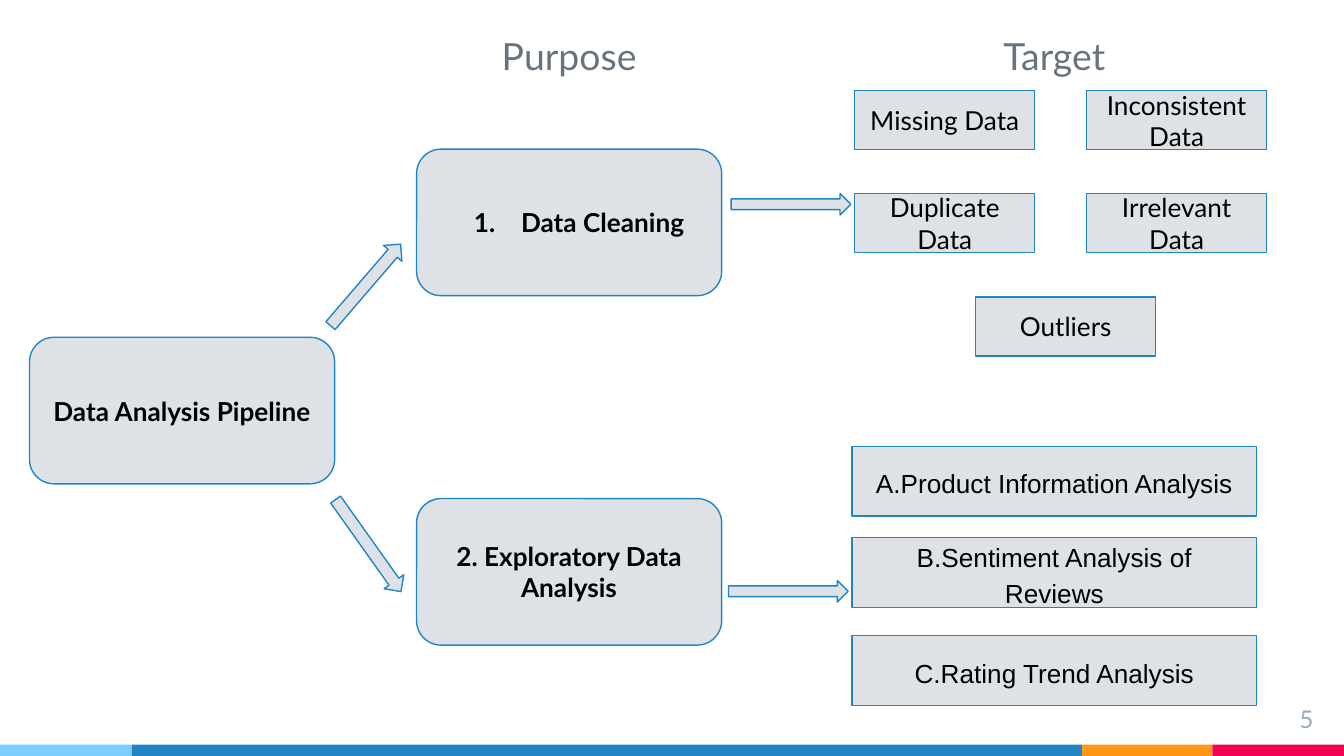
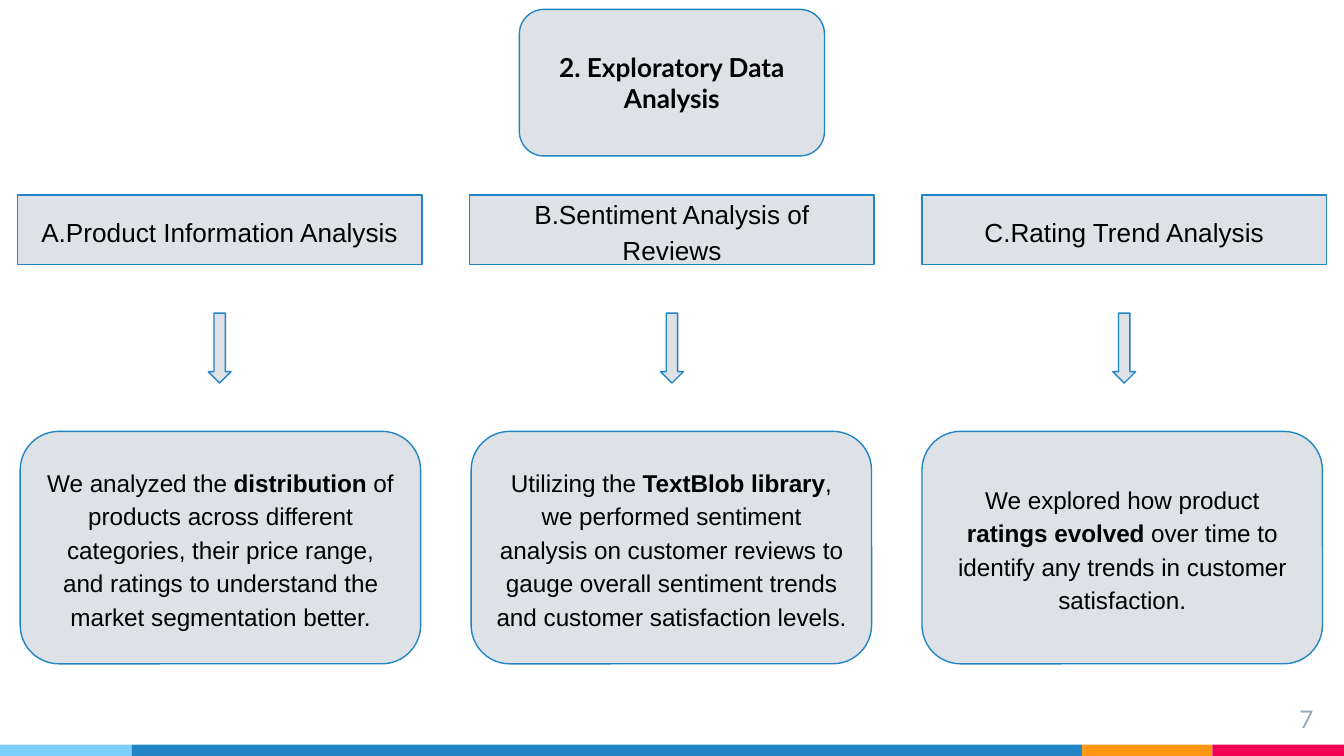
from lxml import etree
from pptx import Presentation
from pptx import util as u
from pptx.dml.color import RGBColor
from pptx.enum import shapes, text
from pptx.oxml.ns import qn

COLUMNS, ROWS = 100, 56.25
CELL = u.Inches(0.1)

BLACK = RGBColor(0x00, 0x00, 0x00)
PANEL = RGBColor(0xDE, 0xE2, 0xE6)
BLUE = RGBColor(0x21, 0x85, 0xC5)
SKY = RGBColor(0x7E, 0xCE, 0xFD)
ORANGE = RGBColor(0xFF, 0x97, 0x15)
PINK = RGBColor(0xF2, 0x02, 0x53)
HEADING = RGBColor(0x67, 0x74, 0x80)
NUMBER = RGBColor(0x97, 0xAB, 0xBC)

LATO, ARIAL = "Lato", "Arial"
RECT = shapes.MSO_SHAPE.RECTANGLE
ROUND = shapes.MSO_SHAPE.ROUNDED_RECTANGLE
RIGHT = shapes.MSO_SHAPE.RIGHT_ARROW
DOWN = shapes.MSO_SHAPE.DOWN_ARROW
CENTER, FLUSH_RIGHT = text.PP_ALIGN.CENTER, text.PP_ALIGN.RIGHT

STAGE_SIZE = (22.7, 10.9)
TARGET_SIZE = (13.4, 4.4)
ANALYSIS_SIZE = (30.1, 5.2)
SUMMARY_SIZE = (29.8, 17.3)

EXPLORATION = "2. Exploratory Data Analysis"
ANALYSES = [
    [("A.Product Information Analysis", 14, False)],
    [("B.Sentiment Analysis of", 14, False), (" ", 11, False), ("Reviews", 14, False)],
    [("C.Rating Trend Analysis", 14, False)],
]
SUMMARIES = [
    ("We analyzed the ", "distribution",
     " of products across different categories, their price range, "
     "and ratings to understand the market segmentation better."),
    ("Utilizing the ", "TextBlob library",
     ", we performed sentiment analysis on customer reviews to gauge "
     "overall sentiment trends and customer satisfaction levels."),
    ("We explored how product ", "ratings evolved",
     " over time to identify any trends in customer satisfaction."),
]


def grid(*cells):
    return [round(cell * CELL) for cell in cells]


def write(box, runs, font, color=BLACK, align=CENTER, spacing=None):
    frame = box.text_frame
    frame.word_wrap = True
    frame.margin_left = frame.margin_right = CELL
    frame.margin_top = frame.margin_bottom = CELL
    para = frame.paragraphs[0]
    para.alignment = align
    if spacing:
        para.line_spacing = spacing
    for words, size, bold in runs:
        span = para.add_run()
        span.text = words
        span.font.name = font
        span.font.size = u.Pt(size)
        span.font.bold = bold
        span.font.color.rgb = color
    return para


def add_panel(page, kind, place, size):
    panel = page.shapes.add_shape(kind, *grid(*place, *size))
    panel.shadow.inherit = False
    panel.fill.solid()
    panel.fill.fore_color.rgb = PANEL
    panel.line.color.rgb = BLUE
    panel.line.width = u.Pt(0.75)
    panel.text_frame.vertical_anchor = text.MSO_ANCHOR.MIDDLE
    return panel


def add_stage(page, place, words):
    stage = add_panel(page, ROUND, place, STAGE_SIZE)
    return write(stage, [(words, 14, True)], LATO)


def add_target(page, place, words):
    target = add_panel(page, RECT, place, TARGET_SIZE)
    write(target, [(words, 14, False)], LATO)


def add_analysis(page, place, runs):
    analysis = add_panel(page, RECT, place, ANALYSIS_SIZE)
    write(analysis, runs, ARIAL, spacing=1.15)


def add_summary(page, place, parts):
    summary = add_panel(page, ROUND, place, SUMMARY_SIZE)
    runs = [(part, 13, index == 1) for index, part in enumerate(parts)]
    write(summary, runs, ARIAL, spacing=1.15)


def add_label(page, place, size, words, points, color, align=CENTER):
    label = page.shapes.add_textbox(*grid(*place, *size))
    write(label, [(words, points, False)], LATO, color, align)


def number_paragraph(para):
    properties = para._p.get_or_add_pPr()
    properties.set("marL", str(u.Inches(0.5)))
    properties.set("indent", str(u.Inches(-0.35)))
    color = etree.SubElement(properties, qn("a:buClr"))
    etree.SubElement(color, qn("a:srgbClr"), val=str(BLACK))
    etree.SubElement(properties, qn("a:buAutoNum"), type="arabicPeriod")


def fit_template(deck):
    share = ROWS * CELL / deck.slide_height
    for sheet in [deck.slide_master, *deck.slide_layouts]:
        for frame in sheet._element.xpath(".//p:spPr/a:xfrm"):
            for child, key in zip(frame, ("y", "cy")):
                child.set(key, str(round(int(child.get(key)) * share)))
    deck.slide_width, deck.slide_height = grid(COLUMNS, ROWS)


def add_band(deck, page):
    tree = deck.slide_master._element.cSld.spTree
    edges = [0, 9.8, 80.5, 90.2, COLUMNS]
    for index, color in enumerate((SKY, BLUE, ORANGE, PINK)):
        left, right = edges[index:index + 2]
        stripe = page.shapes.add_shape(RECT, *grid(left, 55.4, right - left, 0.85))
        stripe.shadow.inherit = False
        stripe.fill.solid()
        stripe.fill.fore_color.rgb = color
        stripe.line.fill.background()
        stripe._element.nvSpPr.cNvPr.set("id", str(100 + index))
        tree.append(stripe._element)


def add_page(deck, number):
    page = deck.slides.add_slide(deck.slide_layouts[6])
    if len(deck.slides) == 1:
        add_band(deck, page)
    add_label(page, (92.7, 51.4), (6, 3.4), number, 13, NUMBER, FLUSH_RIGHT)
    return page


def build_pipeline(deck):
    page = add_page(deck, "5")
    number_paragraph(add_stage(page, (31, 11.1), "Data Cleaning"))
    add_stage(page, (31, 37.1), EXPLORATION)
    add_stage(page, (2.2, 25.1), "Data Analysis Pipeline")

    targets = ("Missing Data", "Inconsistent Data", "Duplicate Data", "Irrelevant Data")
    for index, words in enumerate(targets):
        row, column = divmod(index, 2)
        add_target(page, (63.6 + 17.25 * column, 6.75 + 7.65 * row), words)
    add_target(page, (72.6, 22.1), "Outliers")

    for top, runs in zip((33.2, 40, 47.3), ANALYSES):
        add_analysis(page, (63.4, top), runs)

    for place, size, angle in (
        ((23.2, 20.3), (8, 1.8), 310.7),
        ((23.2, 39.7), (8.4, 1.8), 54.6),
        ((54.4, 14.4), (8.9, 1.6), 0),
        ((54.2, 43.2), (8.9, 1.6), 0),
    ):
        add_panel(page, RIGHT, place, size).rotation = angle

    for left, words in ((33.5, "Purpose"), (69.6, "Target")):
        add_label(page, (left, 1.5), (17.7, 5.4), words, 20, HEADING)


def build_exploration(deck):
    page = add_page(deck, "7")
    add_stage(page, ((COLUMNS - STAGE_SIZE[0]) / 2, 0.7), EXPLORATION)
    arrow_size = (1.7, 5.2)
    for index, (runs, parts) in enumerate(zip(ANALYSES, SUMMARIES)):
        left = 1.3 + 33.65 * index
        middle = left + ANALYSIS_SIZE[0] / 2
        add_analysis(page, (left, 14.5), runs)
        add_panel(page, DOWN, (middle - arrow_size[0] / 2, 23.3), arrow_size)
        add_summary(page, (1.5 + 33.55 * index, 32.1), parts)


def main():
    deck = Presentation()
    fit_template(deck)
    build_pipeline(deck)
    build_exploration(deck)
    deck.save("out.pptx")


if __name__ == "__main__":
    main()
